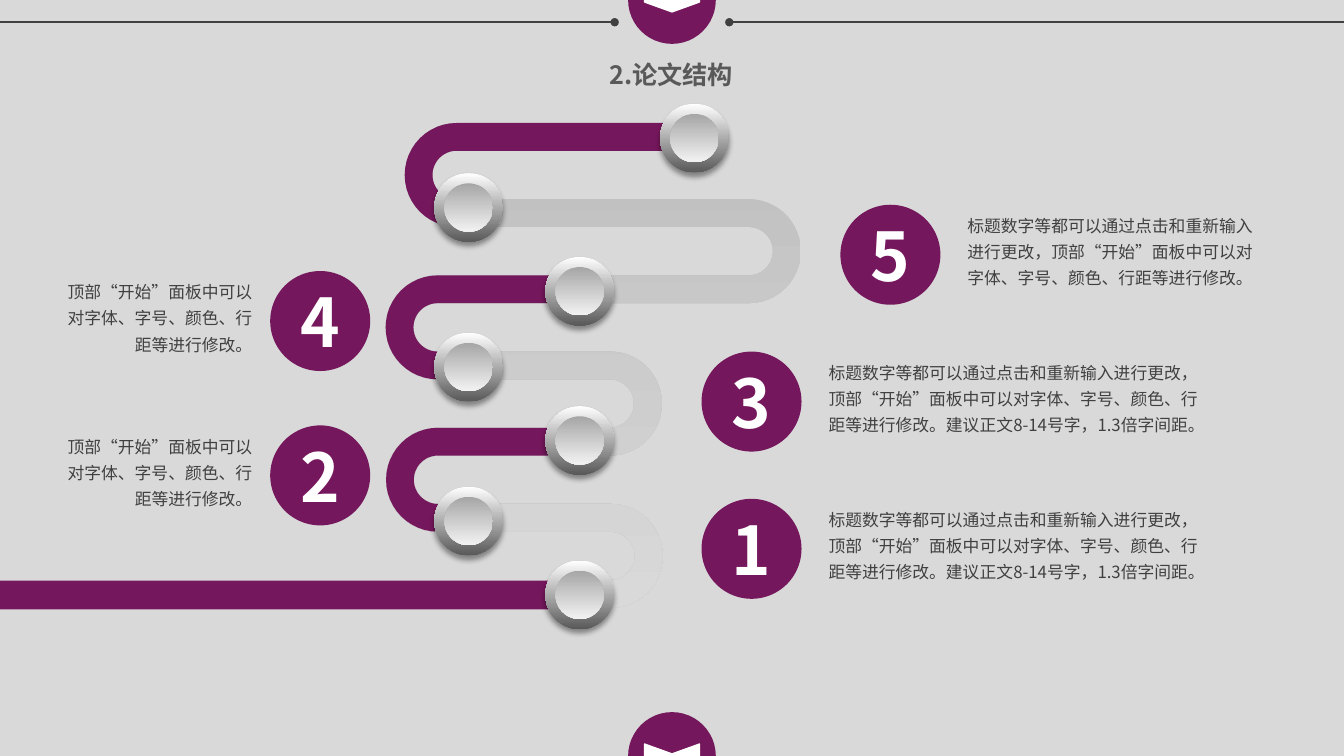
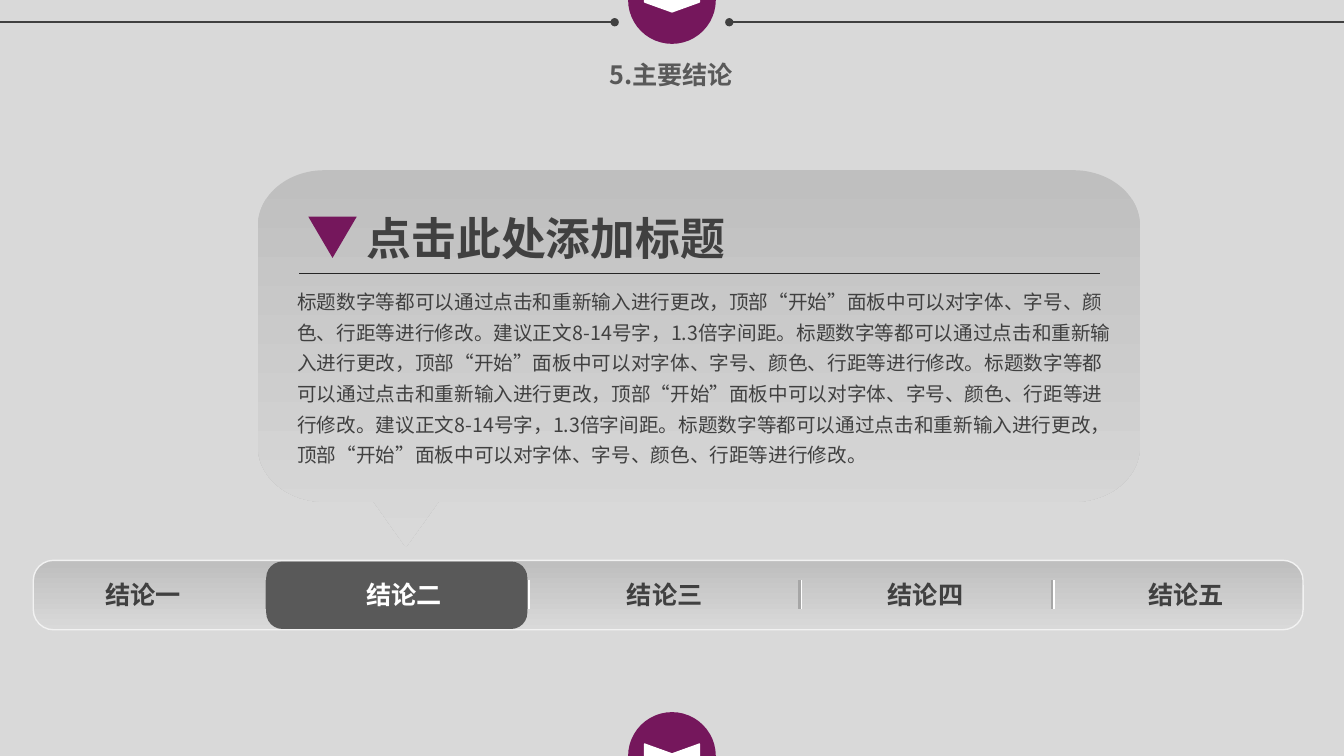
from math import cos, pi, sin

from lxml import etree
from pptx import Presentation
from pptx.dml.color import RGBColor
from pptx.enum.shapes import MSO_CONNECTOR, MSO_SHAPE
from pptx.enum.text import MSO_ANCHOR, MSO_AUTO_SIZE, PP_ALIGN
from pptx.oxml.ns import qn
from pptx.util import Cm, Pt

FONT = "Noto Sans CJK SC"
PLUM, INK, SLATE = "75175C", "404040", "595959"
WHITE, PALE, MIST, ASH, STEEL = "FFFFFF", "F2F2F2", "D9D9D9", "BFBFBF", "A6A6A6"
WIDE, HIGH = 33.87, 19.05

HEAD = "标题数字等都可以通过点击和重新输入进行更改，"
MAIN = "顶部“开始”面板中可以对字体、字号、颜色、行距等进行修改。"
TIP = "建议正文8-14号字，1.3倍字间距。"

# The road: centre of the top row, row pitch, half width of the band
TOP, PITCH, HALF = 3.45, 1.92, 0.35


def rgb(code):
    return RGBColor.from_string(code)


def place(shape, x, y, w, h):
    shape.left, shape.top, shape.width, shape.height = Cm(x), Cm(y), Cm(w), Cm(h)


def paint(shape, fill, edge=None):
    """Fill with one colour, or top to bottom with (colour, colour, first stop)."""
    shape.shadow.inherit = False
    if isinstance(fill, str):
        shape.fill.solid()
        shape.fill.fore_color.rgb = rgb(fill)
    else:
        shape.fill.gradient()
        shape.fill.gradient_angle = 270
        first, last, start = fill
        for stop, code, pos in zip(shape.fill.gradient_stops, (first, last), (start, 1)):
            stop.color.rgb = rgb(code)
            stop.position = pos
    if edge:
        shape.line.color.rgb = rgb(edge)
        shape.line.width = Pt(1)
    else:
        shape.line.fill.background()
    return shape


def add(slide, kind, x, y, w, h, fill, edge=None):
    shape = slide.shapes.add_shape(kind, Cm(x), Cm(y), Cm(w), Cm(h))
    return paint(shape, fill, edge)


def disc(slide, x, y, size, fill):
    """A circle around the point x, y."""
    return add(slide, MSO_SHAPE.OVAL, x - size / 2, y - size / 2, size, size, fill)


def outline(slide, points, fill):
    spots = [(Cm(x), Cm(y)) for x, y in points]
    pen = slide.shapes.build_freeform(*spots[0])
    pen.add_line_segments(spots[1:], close=True)
    return paint(pen.convert_to_shape(), fill)


def rule(slide, start, end, color, width, dot=False):
    line = slide.shapes.add_connector(
        MSO_CONNECTOR.STRAIGHT, *(Cm(n) for n in (*start, *end)))
    line.line.color.rgb = rgb(color)
    line.line.width = Pt(width)
    props = line._element.spPr
    if dot:
        etree.SubElement(props.find(qn("a:ln")), qn("a:tailEnd"), type="oval")
    etree.SubElement(props, qn("a:effectLst"))


def write(shape, text, size, color, bold=False, align=PP_ALIGN.LEFT, space=1.0,
          anchor=MSO_ANCHOR.TOP, wrap=True):
    frame = shape.text_frame
    frame.text = text
    frame.word_wrap = wrap
    frame.auto_size = MSO_AUTO_SIZE.NONE
    frame.vertical_anchor = anchor
    para = frame.paragraphs[0]
    para.alignment = align
    para.line_spacing = space
    para.space_before = Pt(0)
    font = para.runs[0].font
    font.size, font.bold, font.name = Pt(size), bold, FONT
    font.color.rgb = rgb(color)
    font._element.find(qn("a:latin")).addnext(
        etree.Element(qn("a:ea"), typeface=FONT))


def note(slide, x, y, w, h, text, size, color, **style):
    box = slide.shapes.add_textbox(Cm(x), Cm(y), Cm(w), Cm(h))
    write(box, text, size, color, **style)


def badge(slide, y):
    mid = WIDE / 2
    disc(slide, mid, y, 2.21, PLUM)
    mark = add(slide, MSO_SHAPE.CHEVRON, mid - 0.3, y - 0.69, 0.6, 1.38, WHITE, WHITE)
    mark.rotation = 90
    mark.adjustments[0] = 0.415


def page(deck, layout, title):
    """A slide with the shared title, top rules and badges."""
    slide = deck.slides.add_slide(deck.slide_layouts[layout])
    place(slide.shapes.title, 13.97, 1.37, 5.89, 1.02)
    write(slide.shapes.title, title, 18, SLATE, bold=True, align=PP_ALIGN.CENTER)
    for edge, tip in ((0, 15.49), (WIDE, WIDE - 15.49)):
        rule(slide, (edge, 0.56), (tip, 0.56), INK, 1.25, dot=True)
    for y in (0, HIGH):
        badge(slide, y)
    return slide


def arc(x, y, wide, high, start, end):
    """Points of an ellipse, with angles clockwise from the top."""
    turns = [start + (end - start) * n / 24 for n in range(25)]
    return [(x + wide * sin(t), y - high * cos(t)) for t in turns]


def road(slide, row, start, bends, end, fill):
    """A band that runs left from start and turns at each bend in turn."""
    def edge(sign):
        points = [(start, TOP + row * PITCH - sign * HALF)]
        for n, x in enumerate(bends):
            side = 1 if n % 2 else -1
            size = PITCH / 2 - side * sign * HALF
            mid = TOP + (row + n + 0.5) * PITCH
            points += arc(x, mid, size, size, 0, side * pi)
        return points + [(end, points[-1][1])]

    outline(slide, edge(1) + edge(-1)[::-1], fill)


def knob(slide, x, y):
    ring = disc(slide, x, y, 1.73, (WHITE, SLATE, 0))
    glow = etree.SubElement(
        ring._element.spPr.find(qn("a:effectLst")), qn("a:outerShdw"),
        blurRad=str(Pt(4)), dist=str(Pt(3)), dir="5400000", algn="t", rotWithShape="0")
    tone = etree.SubElement(glow, qn("a:srgbClr"), val="000000")
    etree.SubElement(tone, qn("a:alpha"), val="40000")
    disc(slide, x, y, 1.22, (STEEL, PALE, 0))


def step(slide, x, y, number, text, width, left=False):
    """A numbered circle with its text on the right, or on the left."""
    size = 2.52
    ball = disc(slide, x + size / 2, y + size / 2, size, PLUM)
    write(ball, number, 48, WHITE, bold=True, align=PP_ALIGN.CENTER,
          anchor=MSO_ANCHOR.MIDDLE)
    spot = x - width - 0.2 if left else x + size + 0.43
    note(slide, spot, y, width, size, text, 12, INK, space=1.3,
         align=PP_ALIGN.RIGHT if left else PP_ALIGN.LEFT)


def route(deck):
    slide = page(deck, 5, "2.论文结构")
    bends = (11.51, 18.87, 11.03, 15.37, 11.04, 15.39)
    road(slide, 0, 17.37, bends, 0, (ASH, MIST, 0.03))
    for row, start in ((0, 17.37), (2, 14.7), (4, 14.7)):
        road(slide, row, start, [bends[row]], bends[row], PLUM)
    add(slide, MSO_SHAPE.RECTANGLE, 0, 14.63, 14.55, 0.73, PLUM)
    for x, y in ((17.5, 3.48), (11.81, 5.23), (14.61, 7.34), (11.81, 9.25),
                 (14.61, 11.1), (11.81, 13.13), (14.61, 14.99)):
        knob(slide, x, y)
    step(slide, 17.68, 12.57, "1", HEAD + MAIN + TIP, 10.21)
    step(slide, 6.81, 10.72, "2", MAIN, 5.49, left=True)
    step(slide, 17.68, 8.86, "3", HEAD + MAIN + TIP, 10.21)
    step(slide, 6.81, 6.83, "4", MAIN, 5.49, left=True)
    step(slide, 21.18, 5.16, "5", HEAD + MAIN, 7.98)


def tabs(slide, x, y, w, h, names, chosen):
    bar = add(slide, MSO_SHAPE.ROUNDED_RECTANGLE, x, y, w, h, (ASH, MIST, 0.03), PALE)
    bar.adjustments[0] = 0.29
    splits = [x + n for n in (5.87, 12.45, 19.31, 25.68)]
    for split in splits:
        for shift, color in ((0.03, WHITE), (0, STEEL)):
            rule(slide, (split + shift, y + 0.5), (split + shift, y + 1.22), color, 1.5)
    left, right = splits[chosen - 1:chosen + 1]
    tab = add(slide, MSO_SHAPE.ROUNDED_RECTANGLE, left, y + 0.03, right - left,
              h - 0.05, SLATE)
    tab.adjustments[0] = 0.24
    for n, name in enumerate(names):
        note(slide, x + 1.57 + 6.57 * n, y + 0.36, 2.44, 1.02, name, 18,
             WHITE if n == chosen else INK, bold=True, wrap=False)


def bubble(slide, x, y, w, h, title, text):
    """A speech bubble whose tail hangs below its box."""
    wide, high = 1.68, 1.4
    right, low = x + w - wide, y + h - high
    tail = [(x + 4.55, y + h), (x + 3.73, y + h + 1.14), (x + 2.92, y + h)]
    points = (arc(right, y + high, wide, high, 0, pi / 2)
              + arc(right, low, wide, high, pi / 2, pi) + tail
              + arc(x + wide, low, wide, high, pi, 1.5 * pi)
              + arc(x + wide, y + high, wide, high, 1.5 * pi, 2 * pi))
    cloud = outline(slide, points, (ASH, MIST, 0))
    note(slide, x + 2.49, y + 0.89, 15.11, 1.63, title, 32, INK, bold=True)
    rule(slide, (x + 1.04, y + 2.59), (x + 21.23, y + 2.59), "262626", 0.5)
    mark = add(slide, MSO_SHAPE.ISOSCELES_TRIANGLE, x + 1.27, y + 1.17, 1.22, 1.04, PLUM)
    mark.rotation = 180

    body = slide.placeholders[1]
    place(body, x + 0.74, y + 2.72, 21.16, 5.64)
    write(body, text, 14, INK, space=1.3)
    props = body.text_frame.paragraphs[0]._p.get_or_add_pPr()
    props.set("marL", "0")
    props.set("indent", "0")
    etree.SubElement(props, qn("a:buNone"))
    cloud._element.addnext(body._element)


def result(deck):
    slide = page(deck, 1, "5.主要结论")
    names = ["结论" + n for n in "一二三四五"]
    tabs(slide, 0.84, 14.12, 32, 1.75, names, 1)
    bubble(slide, 6.5, 4.29, 22.23, 8.36, "点击此处添加标题",
           (HEAD + MAIN + TIP + HEAD + MAIN) * 2)


def main():
    deck = Presentation()
    deck.slide_width, deck.slide_height = Cm(WIDE), Cm(HIGH)
    back = deck.slide_master.background.fill
    back.solid()
    back.fore_color.rgb = rgb(MIST)
    route(deck)
    result(deck)
    deck.save("out.pptx")


if __name__ == "__main__":
    main()
